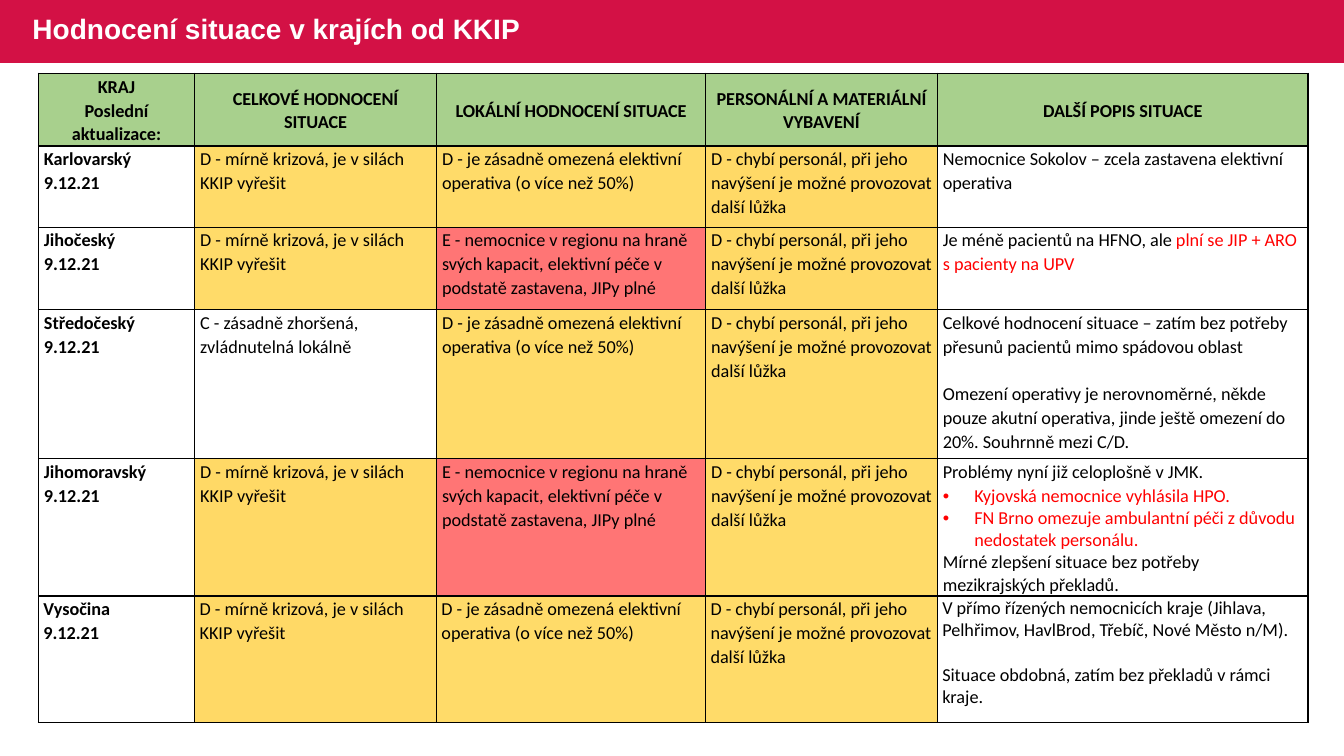
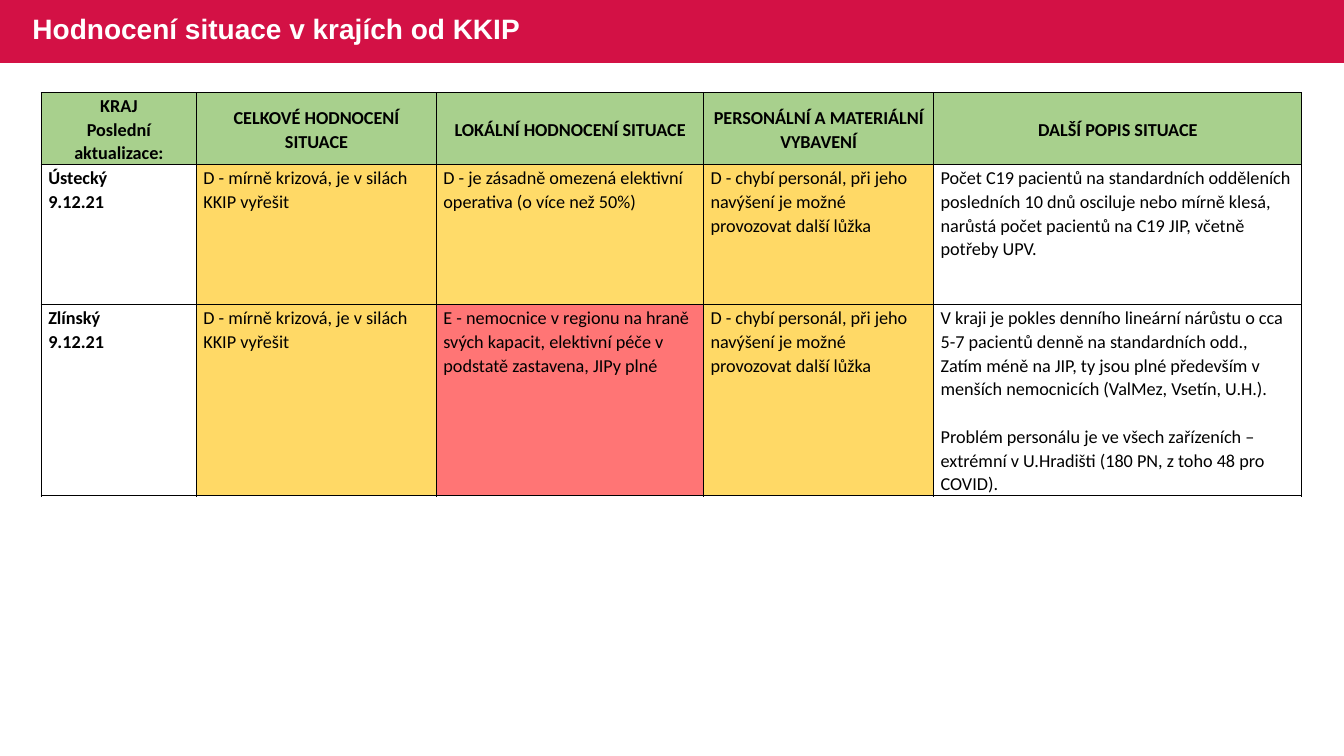
import dataclasses

import lxml.etree
import pptx
import pptx.dml.color
import pptx.enum.shapes
import pptx.enum.text
import pptx.oxml.ns
import pptx.util

Pt = pptx.util.Pt
Align = pptx.enum.text.PP_ALIGN
Anchor = pptx.enum.text.MSO_ANCHOR
qn = pptx.oxml.ns.qn


@dataclasses.dataclass(frozen=True)
class Theme:
    band: str = "D31145"
    white: str = "FFFFFF"
    black: str = "000000"
    alert: str = "FF0000"
    head: str = "A8D08D"
    amber: str = "FFDB69"
    gold: str = "FFD966"
    rose: str = "FF7575"
    title: str = "Arial"
    body: str = "Calibri"
    big: int = 20
    small: int = 13
    loose: float = 1.07
    tight: float = 0.9


@dataclasses.dataclass
class Para:
    text: str
    alert: str = ""
    bullet: bool = False
    gap: float = 0
    line: float = 1.07


@dataclasses.dataclass
class Region:
    name: str
    marks: str
    height: float
    notes: list
    pad: float = 4


THEME = Theme()
WIDE, HIGH, BAR = 960, 540, 45
TITLE = "Hodnocení situace v krajích od KKIP"
DATE = "9.12.21"
SHARES = (1.55, 2.4, 2.67, 2.3, 3.68)
HEADS = (
    "KRAJ\nPoslední aktualizace:",
    "CELKOVÉ HODNOCENÍ SITUACE",
    "LOKÁLNÍ HODNOCENÍ SITUACE",
    "PERSONÁLNÍ A MATERIÁLNÍ VYBAVENÍ",
    "DALŠÍ POPIS SITUACE",
)
FILLS = {"C": None, "D": THEME.amber, "d": THEME.gold, "E": THEME.rose}
RATINGS = (
    {
        "C": "C - zásadně zhoršená, zvládnutelná lokálně",
        "D": "D - mírně krizová, je v silách KKIP vyřešit",
    },
    {
        "D": "D - je zásadně omezená elektivní operativa (o více než 50%)",
        "E": "E - nemocnice v regionu na hraně svých kapacit, elektivní péče "
             "v podstatě zastavena, JIPy plné",
    },
    {"D": "D - chybí personál, při jeho navýšení je možné provozovat další lůžka"},
)
FIRST = [
    Region("Karlovarský", "DDd", 58, [
        Para("Nemocnice Sokolov – zcela zastavena elektivní operativa"),
    ]),
    Region("Jihočeský", "DEd", 59, [
        Para("Je méně pacientů na HFNO, ale ", "plní se JIP + ARO s pacienty na UPV"),
    ]),
    Region("Středočeský", "CDD", 106.5, [
        Para("Celkové hodnocení situace – zatím bez potřeby přesunů pacientů "
             "mimo spádovou oblast"),
        Para("Omezení operativy je nerovnoměrné, někde pouze akutní operativa, "
             "jinde ještě omezení do 20%. Souhrnně mezi C/D.", gap=17),
    ]),
    Region("Jihomoravský", "dED", 98, [
        Para("Problémy nyní již celoplošně v JMK."),
        Para("", "Kyjovská nemocnice vyhlásila HPO.", bullet=True),
        Para("", "FN Brno omezuje ambulantní péči z důvodu nedostatek personálu.",
             bullet=True, line=1),
        Para("Mírné zlepšení situace bez potřeby mezikrajských překladů.", line=1),
    ]),
    Region("Vysočina", "dDD", 90.5, [
        Para("V přímo řízených nemocnicích kraje (Jihlava, Pelhřimov, HavlBrod, "
             "Třebíč, Nové Město n/M).", line=1),
        Para("Situace obdobná, zatím bez překladů v rámci kraje.", gap=16, line=1),
    ], pad=3.6),
]
SECOND = [
    Region("Ústecký", "dDd", 100, [
        Para("Počet C19 pacientů na standardních odděleních posledních 10 dnů "
             "osciluje nebo mírně klesá, narůstá počet pacientů na C19 JIP, "
             "včetně potřeby UPV."),
    ], pad=5),
    Region("Zlínský", "dEd", 136.5, [
        Para("V kraji je pokles denního lineární nárůstu o cca 5-7 pacientů denně "
             "na standardních odd.,"),
        Para("Zatím méně na JIP, ty jsou plné především v menších nemocnicích "
             "(ValMez, Vsetín, U.H.)."),
        Para("Problém personálu je ve všech zařízeních – extrémní v U.Hradišti "
             "(180 PN, z toho 48 pro COVID).", gap=17),
    ], pad=5),
]


def paint(code):
    return pptx.dml.color.RGBColor.from_string(code)


def style(run, face, size, color, bold=False):
    run.font.name = face
    run.font.size = Pt(size)
    run.font.bold = bold
    run.font.color.rgb = paint(color)


def frame(cell):
    props = cell._tc.get_or_add_tcPr()
    for side in ("lnL", "lnR", "lnT", "lnB"):
        edge = lxml.etree.SubElement(props, qn("a:" + side), w=str(Pt(1)))
        fill = lxml.etree.SubElement(edge, qn("a:solidFill"))
        lxml.etree.SubElement(fill, qn("a:srgbClr"), val=THEME.black)


def dot(para):
    props = para._p.get_or_add_pPr()
    props.set("marL", str(Pt(22.5)))
    props.set("indent", str(-Pt(22.5)))
    lxml.etree.SubElement(props, qn("a:buFont"), typeface="Arial")
    lxml.etree.SubElement(props, qn("a:buChar"), char="•")


def fill_cell(cell, pad, fill=None):
    cell.margin_left = cell.margin_right = Pt(pad)
    cell.margin_top, cell.margin_bottom = Pt(0.7), Pt(0)
    frame(cell)
    if fill:
        cell.fill.solid()
        cell.fill.fore_color.rgb = paint(fill)
    else:
        cell.fill.background()


def write(cell, text, bold=False, align=Align.LEFT):
    cell.text_frame.text = text
    for para in cell.text_frame.paragraphs:
        para.alignment = align
        para.line_spacing = THEME.loose
        for run in para.runs:
            style(run, THEME.body, THEME.small, THEME.black, bold)


def write_notes(cell, notes):
    box = cell.text_frame
    for spot, note in enumerate(notes):
        para = box.add_paragraph() if spot else box.paragraphs[0]
        para.line_spacing = note.line
        if note.gap:
            para.space_before = Pt(note.gap)
        if note.bullet:
            dot(para)
        for text, color in ((note.text, THEME.black), (note.alert, THEME.alert)):
            if text:
                run = para.add_run()
                run.text = text
                style(run, THEME.body, THEME.small, color)


def add_grid(slide, left, top, width, head, items):
    tall = head + sum(item.height for item in items)
    grid = slide.shapes.add_table(
        len(items) + 1, len(SHARES), Pt(left), Pt(top), Pt(width), Pt(tall)).table
    grid.first_row = grid.horz_banding = False
    for col, share in zip(grid.columns, SHARES):
        col.width = Pt(width * share / sum(SHARES))
    grid.rows[0].height = Pt(head)
    for cell, text in zip(grid.rows[0].cells, HEADS):
        fill_cell(cell, items[0].pad, THEME.head)
        cell.vertical_anchor = Anchor.MIDDLE
        write(cell, text, True, Align.CENTER)
    for row, item in zip(list(grid.rows)[1:], items):
        row.height = Pt(item.height)
        name, *rated, notes = row.cells
        fill_cell(name, item.pad)
        write(name, f"{item.name}\n{DATE}", True)
        for cell, mark, texts in zip(rated, item.marks, RATINGS):
            fill_cell(cell, item.pad, FILLS[mark])
            write(cell, texts[mark.upper()])
        fill_cell(notes, item.pad)
        write_notes(notes, item.notes)


def set_layout(layout, slide):
    band = slide.shapes.add_shape(
        pptx.enum.shapes.MSO_SHAPE.RECTANGLE, 0, 0, Pt(WIDE), Pt(BAR))
    band.shadow.inherit = False
    band.fill.solid()
    band.fill.fore_color.rgb = paint(THEME.band)
    band.line.fill.background()
    layout.shapes.element.insert(2, band.element)


def add_title(slide):
    title = slide.shapes.title
    title.left, title.top = Pt(16), Pt(-0.5)
    title.width, title.height = Pt(586), Pt(BAR)
    box = title.text_frame
    box.text = TITLE
    box.word_wrap = True
    box.vertical_anchor = Anchor.MIDDLE
    para = box.paragraphs[0]
    para.alignment = Align.LEFT
    para.line_spacing = THEME.tight
    style(para.runs[0], THEME.title, THEME.big, THEME.white, True)


def main():
    deck = pptx.Presentation()
    deck.slide_width, deck.slide_height = Pt(WIDE), Pt(HIGH)
    layout = deck.slide_layouts[5]
    pages = (
        (27.4, 52.3, 907, 52, FIRST),
        (29.5, 66.2, 900.5, 51, SECOND),
    )
    for spot, page in enumerate(pages):
        slide = deck.slides.add_slide(layout)
        if not spot:
            set_layout(layout, slide)
        add_title(slide)
        add_grid(slide, *page)
    deck.save("out.pptx")


if __name__ == "__main__":
    main()
